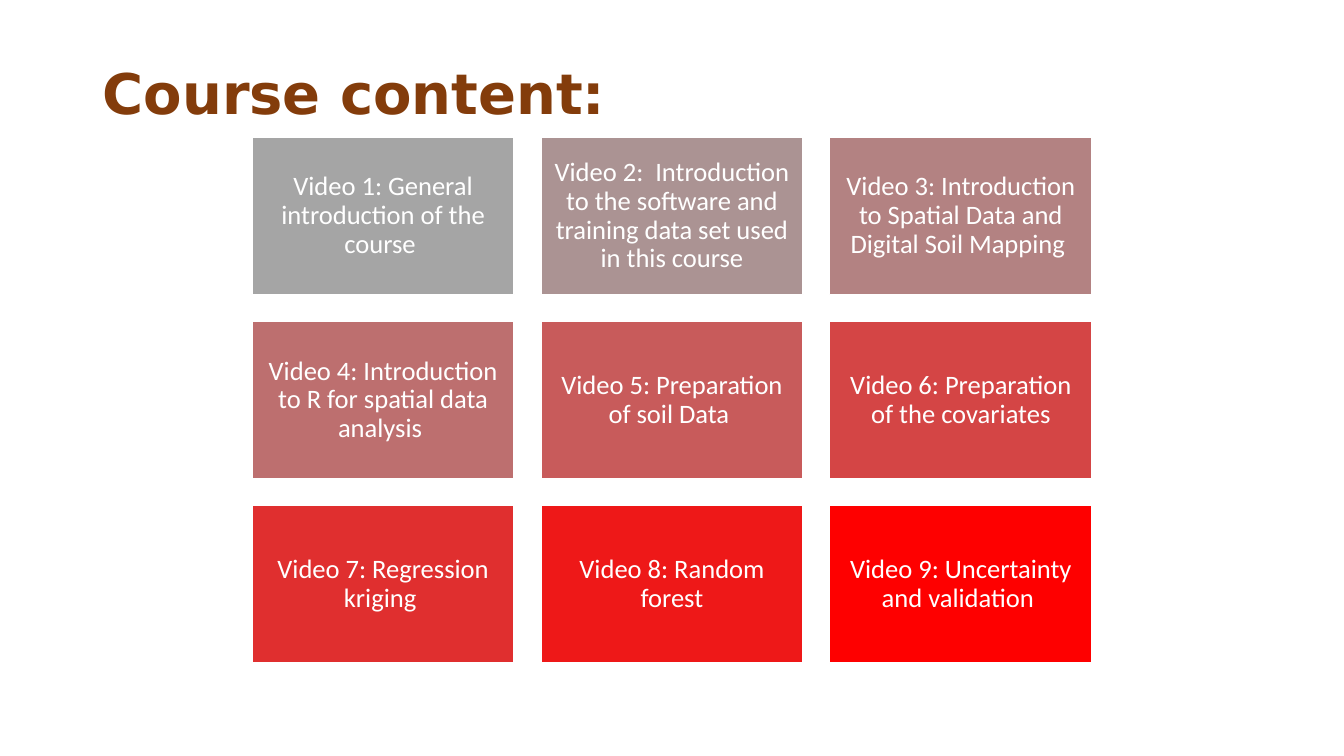
import pptx
import pptx.dml.color
import pptx.enum.shapes
import pptx.enum.text
import pptx.util

Cm = pptx.util.Cm
Pt = pptx.util.Pt
ALIGN = pptx.enum.text.PP_ALIGN

COLORS = {
    "title": "833C0B",
    "white": "FFFFFF",
    "tiles": ["A5A5A5", "AB9393", "B38282",
              "BD6F6F", "C85B5B", "D44545",
              "E02F2F", "EE1818", "FE0000"],
}

VIDEOS = [
    "Video 1: General introduction of the course ",
    "Video 2:  Introduction to the software and training data set used in this course",
    "Video 3: Introduction\nto Spatial Data and Digital Soil Mapping ",
    "Video 4: Introduction to R for spatial data analysis ",
    "Video 5: Preparation of soil Data ",
    "Video 6: Preparation of the covariates",
    "Video 7: Regression kriging ",
    "Video 8: Random forest",
    "Video 9: Uncertainty and validation ",
]

COLS = 3
LEFT, TOP = 6.35, 3.46
WIDTH, HEIGHT = 6.61, 3.97
STEP_X, STEP_Y = 7.28, 4.64


def rgb(code):
    return pptx.dml.color.RGBColor.from_string(code)


class Deck:
    """Text styles and the slide being filled."""

    title_font = {"name": "DejaVu Sans", "size": Pt(40), "bold": True}
    tile_font = {"name": "Calibri", "size": Pt(19)}

    def __init__(self, slide):
        self.slide = slide

    def label(self, shape, text, font, color, align, inset):
        """Put one paragraph into a shape, with (side, top) insets in cm."""
        frame = shape.text_frame
        side, top = map(Cm, inset)
        layout = {
            "word_wrap": True,
            "vertical_anchor": pptx.enum.text.MSO_ANCHOR.MIDDLE,
            "margin_left": side, "margin_right": side,
            "margin_top": top, "margin_bottom": top,
        }
        for key, value in layout.items():
            setattr(frame, key, value)
        para = frame.paragraphs[0]
        para.text = text
        para.alignment = align
        para.line_spacing = 0.9
        for run in para.runs:
            for key, value in font.items():
                setattr(run.font, key, value)
            run.font.color.rgb = rgb(color)

    def title(self, text, *box):
        shape = self.slide.shapes.add_textbox(*map(Cm, box))
        self.label(shape, text, self.title_font, COLORS["title"],
                   ALIGN.LEFT, (0.25, 0.13))

    def tile(self, text, fill, *box):
        shape = self.slide.shapes.add_shape(
            pptx.enum.shapes.MSO_SHAPE.RECTANGLE, *map(Cm, box))
        shape.shadow.inherit = False
        shape.fill.solid()
        shape.fill.fore_color.rgb = rgb(fill)
        shape.line.color.rgb = rgb(COLORS["white"])
        shape.line.width = Pt(1)
        self.label(shape, text, self.tile_font, COLORS["white"],
                   ALIGN.CENTER, (0.2, 0.2))


def main():
    show = pptx.Presentation()
    show.slide_width, show.slide_height = Cm(33.87), Cm(19.05)
    deck = Deck(show.slides.add_slide(show.slide_layouts[6]))
    deck.title("Course content:", 2.34, 1.02, 29.21, 2.82)
    for index, (text, fill) in enumerate(zip(VIDEOS, COLORS["tiles"])):
        row, col = divmod(index, COLS)
        deck.tile(text, fill, LEFT + col * STEP_X, TOP + row * STEP_Y,
                  WIDTH, HEIGHT)
    show.save("out.pptx")


if __name__ == "__main__":
    main()
